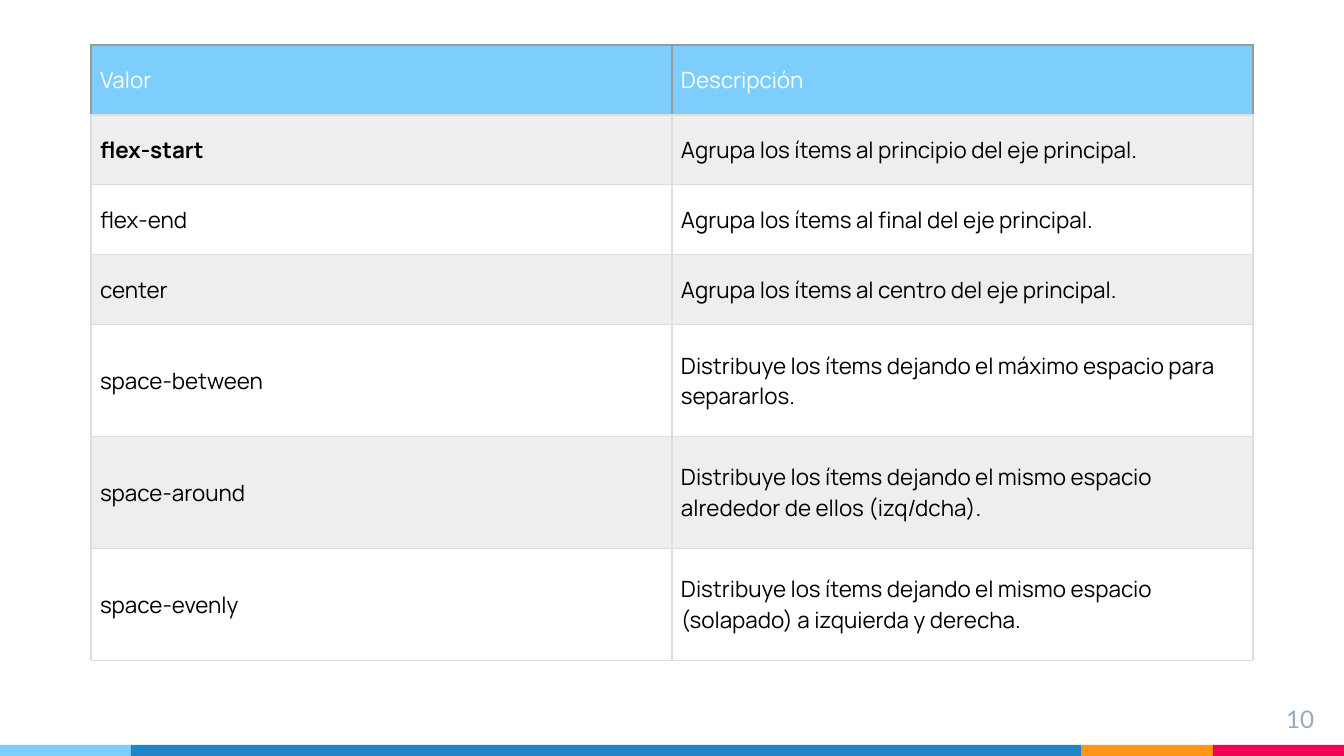
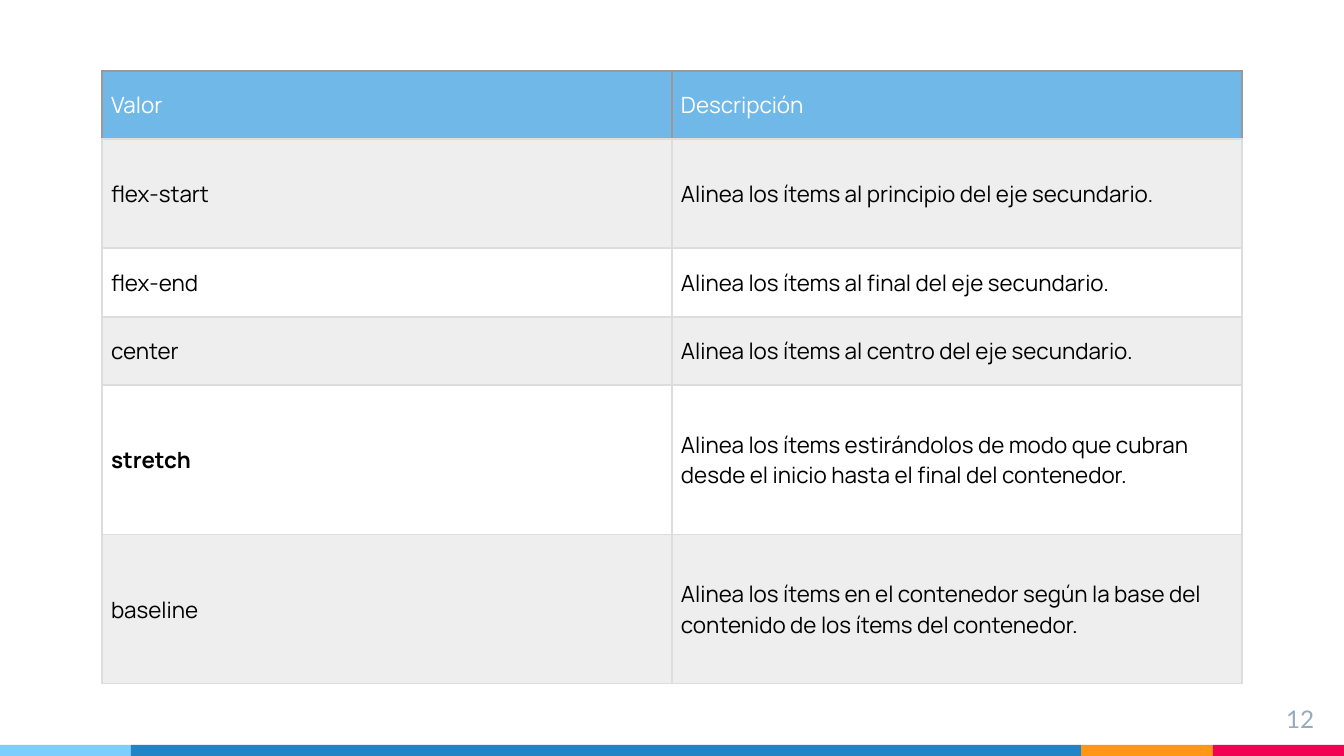
from lxml import etree
from pptx import Presentation
from pptx.dml.color import RGBColor
from pptx.enum.shapes import MSO_SHAPE
from pptx.enum.text import MSO_ANCHOR, PP_ALIGN
from pptx.oxml.ns import qn
from pptx.util import Pt

SLIDE_W, SLIDE_H = 1344, 756
EMU_PER_PX = 9144000 / SLIDE_W

SKY, BLUE, ORANGE, RED = "7ECEFD", "2185C5", "FF9715", "F20253"
SOFT_BLUE = "6FB8E7"
WHITE, BLACK, STRIPE = "FFFFFF", "000000", "EEEEEE"
GRID, HEADER_GRID, NUMBER_GREY = "DDDDDD", "999999", "97ABBC"

BAND_TOP = 745
BANDS = [(0, SKY), (131, BLUE), (1081, ORANGE), (1213, RED)]
NUMBER_BOX = (1246, 691, 81, 46)
CELL_MARGIN = 9
HEADER = ("Valor", "Descripción")

JUSTIFY_VALUES = [
    ("flex-start", "Agrupa los ítems al principio del eje principal."),
    ("flex-end", "Agrupa los ítems al final del eje principal."),
    ("center", "Agrupa los ítems al centro del eje principal."),
    ("space-between", "Distribuye los ítems dejando el máximo espacio para separarlos."),
    ("space-around", "Distribuye los ítems dejando el mismo espacio alrededor de ellos (izq/dcha)."),
    ("space-evenly", "Distribuye los ítems dejando el mismo espacio (solapado) a izquierda y derecha."),
]
ALIGN_VALUES = [
    ("flex-start", "Alinea los ítems al principio del eje secundario."),
    ("flex-end", "Alinea los ítems al final del eje secundario."),
    ("center", "Alinea los ítems al centro del eje secundario."),
    ("stretch", "Alinea los ítems estirándolos de modo que cubran desde el inicio hasta el final del contenedor."),
    ("baseline", "Alinea los ítems en el contenedor según la base del contenido de los ítems del contenedor."),
]


def px(length):
    return round(length * EMU_PER_PX)


def color(hex_code):
    return RGBColor.from_string(hex_code)


def style_font(paragraph, name, size, hex_code, bold=False):
    font = paragraph.font
    font.name, font.size, font.bold = name, Pt(size), bold
    font.color.rgb = color(hex_code)


def add_bands(slide):
    ends = [left for left, _ in BANDS[1:]] + [SLIDE_W]
    for (left, fill), right in zip(BANDS, ends):
        band = slide.shapes.add_shape(
            MSO_SHAPE.RECTANGLE, px(left), px(BAND_TOP),
            px(right - left), px(SLIDE_H - BAND_TOP))
        band.shadow.inherit = False
        band.fill.solid()
        band.fill.fore_color.rgb = color(fill)
        band.line.fill.background()


def add_page_number(slide, number):
    frame = slide.shapes.add_textbox(*map(px, NUMBER_BOX)).text_frame
    frame.word_wrap = True
    frame.margin_left = frame.margin_right = px(13)
    frame.margin_top = frame.margin_bottom = px(13)
    paragraph = frame.paragraphs[0]
    paragraph.text = str(number)
    paragraph.alignment = PP_ALIGN.RIGHT
    style_font(paragraph, "Lato", 13, NUMBER_GREY)


def set_borders(cell, side_colors):
    """Draw the borders, given as colours for left, right, top and bottom."""
    properties = cell._tc.get_or_add_tcPr()
    for index, (side, hex_code) in enumerate(zip("LRTB", side_colors)):
        border = etree.Element(qn(f"a:ln{side}"), w=str(Pt(0.75)))
        fill = etree.SubElement(border, qn("a:solidFill"))
        etree.SubElement(fill, qn("a:srgbClr"), val=hex_code)
        properties.insert(index, border)


def fill_cell(cell, text, fill, text_color, bold, side_colors):
    cell.text = text
    cell.vertical_anchor = MSO_ANCHOR.MIDDLE
    cell.margin_left = cell.margin_right = px(CELL_MARGIN)
    cell.margin_top = cell.margin_bottom = px(CELL_MARGIN)
    cell.fill.solid()
    cell.fill.fore_color.rgb = color(fill)
    style_font(cell.text_frame.paragraphs[0], "Manrope", 12, text_color, bold)
    set_borders(cell, side_colors)


def add_values_table(slide, left, top, width, row_heights, values, default_value, header_fill):
    """Add the table of property values, with the default value in bold."""
    rows = [HEADER, *values]
    table = slide.shapes.add_table(
        len(rows), len(HEADER), px(left), px(top), px(width), px(sum(row_heights))).table
    table.horz_banding = False
    for column in table.columns:
        column.width = px(width / len(HEADER))
    for r, (texts, height) in enumerate(zip(rows, row_heights)):
        table.rows[r].height = px(height)
        if r == 0:
            fill, text_color, side_colors = header_fill, WHITE, [HEADER_GRID] * 3 + [GRID]
        else:
            fill, text_color, side_colors = STRIPE if r % 2 else WHITE, BLACK, [GRID] * 4
        for c, text in enumerate(texts):
            fill_cell(table.cell(r, c), text, fill, text_color, text == default_value, side_colors)


def add_values_slide(prs, number, **table_options):
    slide = prs.slides.add_slide(prs.slide_layouts[6])
    add_bands(slide)
    add_page_number(slide, number)
    add_values_table(slide, **table_options)


def main():
    prs = Presentation()
    prs.slide_width, prs.slide_height = px(SLIDE_W), px(SLIDE_H)
    add_values_slide(
        prs, 10, left=91, top=45, width=1162, row_heights=[70] * 4 + [112] * 3,
        values=JUSTIFY_VALUES, default_value="flex-start", header_fill=SKY)
    add_values_slide(
        prs, 12, left=102, top=71, width=1140, row_heights=[68, 109, 69, 68, 150, 149],
        values=ALIGN_VALUES, default_value="stretch", header_fill=SOFT_BLUE)
    prs.save("out.pptx")


if __name__ == "__main__":
    main()
